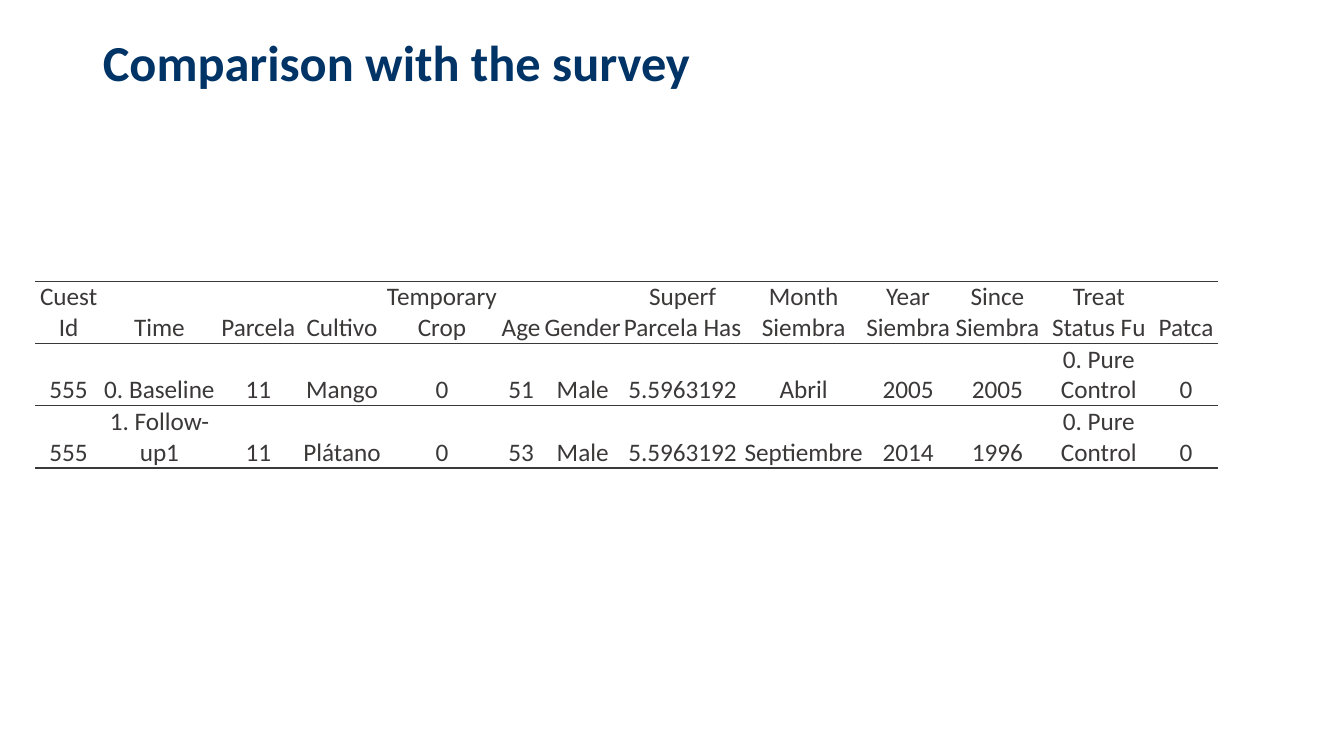
from dataclasses import dataclass

from lxml import etree
from pptx import Presentation
from pptx.dml.color import RGBColor
from pptx.enum.text import MSO_ANCHOR, MSO_AUTO_SIZE, PP_ALIGN
from pptx.oxml.ns import qn
from pptx.util import Inches, Pt


@dataclass(frozen=True)
class Theme:
    """Colours, font and type sizes of the slide."""
    font: str = "Calibri"
    title_color: str = "003366"
    ink: str = "3B3838"
    title_size: int = 36
    table_size: int = 18
    rule_width: int = 1
    cell_margin: float = 0.5


THEME = Theme()
SLIDE_W, SLIDE_H = Inches(13.33), Inches(7.5)

# Boxes are left, top, width, height as shares of the slide.
TITLE_BOX = (0.069, 0.044, 0.863, 0.153)
TABLE_BOX = (0.0263, 0.372, 0.88, 0.244)

COLUMN_WEIGHTS = [66, 114, 82, 84, 114, 43, 79, 119, 121, 86, 91, 110, 63]
SURVEY_ROWS = [
    ["Cuest Id", "Time", "Parcela", "Cultivo", "Temporary Crop", "Age", "Gender",
     "Superf Parcela Has", "Month Siembra", "Year Siembra", "Since Siembra",
     "Treat Status Fu", "Patca"],
    ["555", "0. Baseline", "11", "Mango", "0", "51", "Male", "5.5963192",
     "Abril", "2005", "2005", "0. Pure Control", "0"],
    ["555", "1. Follow-up1", "11", "Plátano", "0", "53", "Male", "5.5963192",
     "Septiembre", "2014", "1996", "0. Pure Control", "0"],
]


def to_emu(box):
    """Turn shares of the slide into left, top, width and height."""
    return [round(share * side) for share, side in zip(box, (SLIDE_W, SLIDE_H) * 2)]


def style_font(font, size, color, bold=False):
    """Apply the theme font with a size, colour and weight."""
    font.name, font.size, font.bold = THEME.font, Pt(size), bold
    font.color.rgb = RGBColor.from_string(color)


def add_title(slide, box, text):
    """Place the title placeholder in the box and fill it."""
    title = slide.shapes.title
    title.left, title.top, title.width, title.height = to_emu(box)
    frame = title.text_frame
    frame.text = text
    frame.word_wrap = True
    frame.auto_size = MSO_AUTO_SIZE.NONE
    frame.vertical_anchor = MSO_ANCHOR.TOP
    paragraph = frame.paragraphs[0]
    paragraph.alignment = PP_ALIGN.LEFT
    paragraph.line_spacing = 0.9
    style_font(paragraph.runs[0].font, THEME.title_size, THEME.title_color, bold=True)


def rule_cell(cell):
    """Draw rules above and below a cell, and none at its sides."""
    properties = cell._tc.get_or_add_tcPr()
    for side in ("lnL", "lnR", "lnT", "lnB"):
        line = etree.SubElement(properties, qn(f"a:{side}"), w=str(Pt(THEME.rule_width)))
        if side in ("lnT", "lnB"):
            fill = etree.SubElement(line, qn("a:solidFill"))
            etree.SubElement(fill, qn("a:srgbClr"), val=THEME.ink)
        else:
            etree.SubElement(line, qn("a:noFill"))


def fill_cell(cell, text):
    """Write centred text at the foot of a clear, ruled cell."""
    rule_cell(cell)
    cell.fill.background()
    cell.margin_left = cell.margin_right = cell.margin_top = Pt(THEME.cell_margin)
    cell.margin_bottom = 0
    cell.vertical_anchor = MSO_ANCHOR.BOTTOM
    cell.text = text
    paragraph = cell.text_frame.paragraphs[0]
    paragraph.alignment = PP_ALIGN.CENTER
    style_font(paragraph.runs[0].font, THEME.table_size, THEME.ink)


def add_survey_table(slide, box, rows, weights):
    """Fill the box with a ruled table whose columns share its width by weight."""
    left, top, width, height = to_emu(box)
    table = slide.shapes.add_table(len(rows), len(weights), left, top, width, height).table
    table.first_row = table.horz_banding = False
    for column, weight in zip(table.columns, weights):
        column.width = round(width * weight / sum(weights))
    for r, values in enumerate(rows):
        for c, value in enumerate(values):
            fill_cell(table.cell(r, c), value)


def build():
    """Build the comparison slide and save it."""
    deck = Presentation()
    deck.slide_width, deck.slide_height = SLIDE_W, SLIDE_H
    slide = deck.slides.add_slide(deck.slide_layouts[5])
    add_title(slide, TITLE_BOX, "Comparison with the survey")
    add_survey_table(slide, TABLE_BOX, SURVEY_ROWS, COLUMN_WEIGHTS)
    deck.save("out.pptx")


build()
